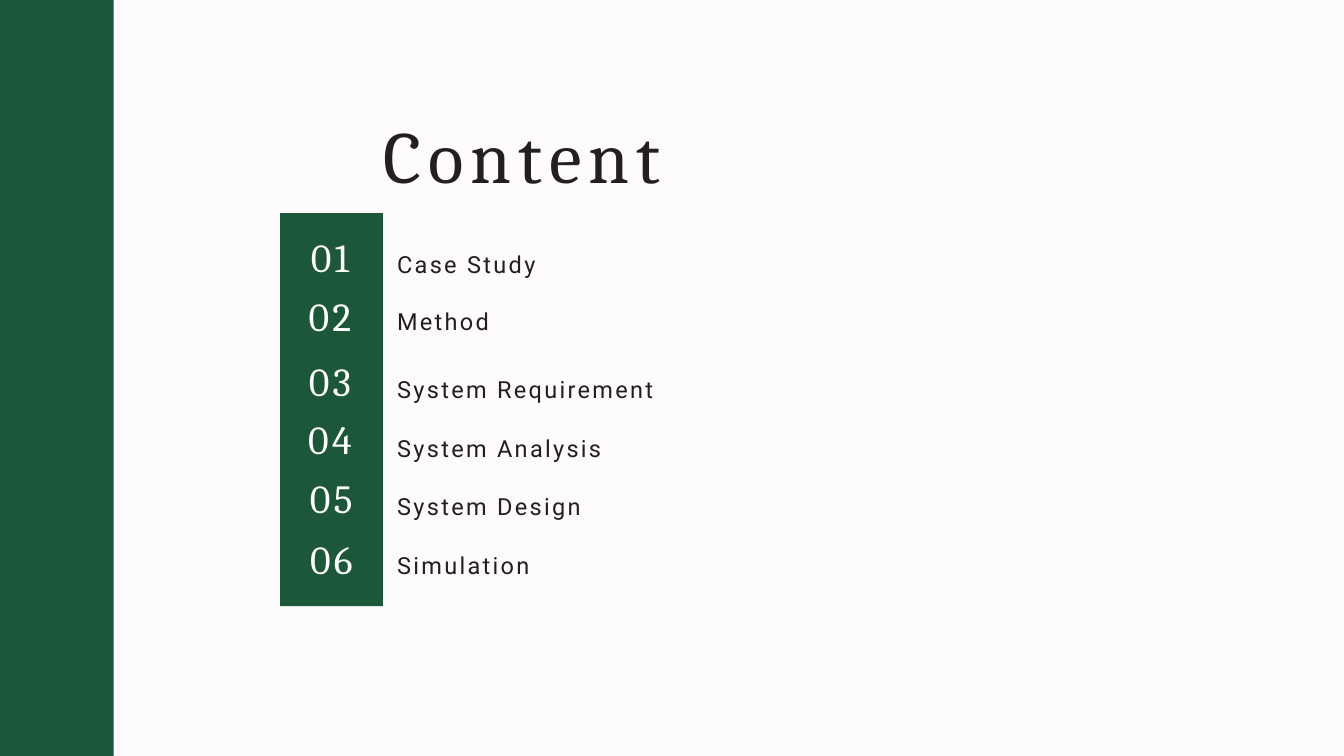
from dataclasses import dataclass
from pptx import Presentation
from pptx.dml.color import RGBColor
from pptx.enum.shapes import MSO_SHAPE
from pptx.enum.text import MSO_ANCHOR, MSO_AUTO_SIZE, PP_ALIGN
from pptx.util import Inches, Pt


@dataclass(frozen=True)
class Type:
    """Font, size, leading and tracking in points, and colour of a text."""
    font: str
    size: float
    lead: float
    track: float
    color: str


@dataclass(frozen=True)
class Theme:
    """Colours and type styles of the deck."""
    paper: str = "FDFBFB"
    green: str = "1C5739"
    title: Type = Type("Cambria", 78.7, 108.6, 7.7, "231F20")
    number: Type = Type("Cambria", 42.7, 51.3, 3.5, "FFFFFF")
    label: Type = Type("Roboto", 25.2, 34.8, 2.5, "231F20")


class Page:
    """Draws styled elements on one slide, on a grid of 20 by 11.25 cells."""
    COLS, ROWS = 20, 11.25

    def __init__(self, deck, theme):
        """Open a title-only slide with the theme's paper colour."""
        self.theme = theme
        self.col = deck.slide_width / self.COLS
        self.row = deck.slide_height / self.ROWS
        self.slide = deck.slides.add_slide(deck.slide_layouts[5])
        fill = self.slide.background.fill
        fill.solid()
        fill.fore_color.rgb = RGBColor.from_string(theme.paper)

    def area(self, x, y, wide, high):
        """Turn grid cells into slide lengths."""
        return (round(x * self.col), round(y * self.row),
                round(wide * self.col), round(high * self.row))

    def block(self, *cells):
        """Add a plain green block."""
        shape = self.slide.shapes.add_shape(MSO_SHAPE.RECTANGLE, *self.area(*cells))
        shape.shadow.inherit = False
        shape.fill.solid()
        shape.fill.fore_color.rgb = RGBColor.from_string(self.theme.green)
        shape.line.fill.background()

    def letter(self, shape, text, style, align):
        """Fill a shape with one styled run."""
        frame = shape.text_frame
        frame.word_wrap = True
        frame.auto_size = MSO_AUTO_SIZE.SHAPE_TO_FIT_TEXT
        frame.vertical_anchor = MSO_ANCHOR.TOP
        frame.margin_left = frame.margin_right = 0
        frame.margin_top = frame.margin_bottom = 0
        para = frame.paragraphs[0]
        para.alignment = align
        para.line_spacing = Pt(style.lead)
        run = para.add_run()
        run.text = text
        run.font.name = style.font
        run.font.size = Pt(style.size)
        run.font.color.rgb = RGBColor.from_string(style.color)
        run.font._element.set("spc", str(round(style.track * 100)))

    def title(self, text, *cells):
        """Place and fill the title placeholder."""
        shape = self.slide.shapes.title
        shape.left, shape.top, shape.width, shape.height = self.area(*cells)
        self.letter(shape, text, self.theme.title, PP_ALIGN.LEFT)

    def text(self, text, style, *cells, align=PP_ALIGN.LEFT):
        """Add a text box."""
        shape = self.slide.shapes.add_textbox(*self.area(*cells))
        self.letter(shape, text, style, align)


TOPICS = [
    ("Case Study", 4.4, 3.46, 3.65),
    ("Method", 4.4, 4.34, 4.51),
    ("System Requirement", 4.4, 5.3, 5.52),
    ("System Analysis", 4.4, 6.17, 6.39),
    ("System Design", 4.42, 7.04, 7.26),
    ("Simulation", 4.42, 7.95, 8.13),
]


def main():
    """Build the contents slide."""
    deck = Presentation()
    deck.slide_width, deck.slide_height = Inches(20), Inches(11.25)
    theme = Theme()
    page = Page(deck, theme)
    page.block(4.17, 3.17, 1.53, 5.85)
    page.block(0, 0, 1.69, page.ROWS)
    page.title("Content", 5.7, 1.44, 6.19, 1.4)
    for rank, (topic, left, top, base) in enumerate(TOPICS, 1):
        page.text(f"{rank:02}", theme.number, left, top, 1.02, 0.72,
                  align=PP_ALIGN.CENTER)
        page.text(topic, theme.label, 5.91, base, 6.5, 0.46)
    deck.save("out.pptx")


if __name__ == "__main__":
    main()
